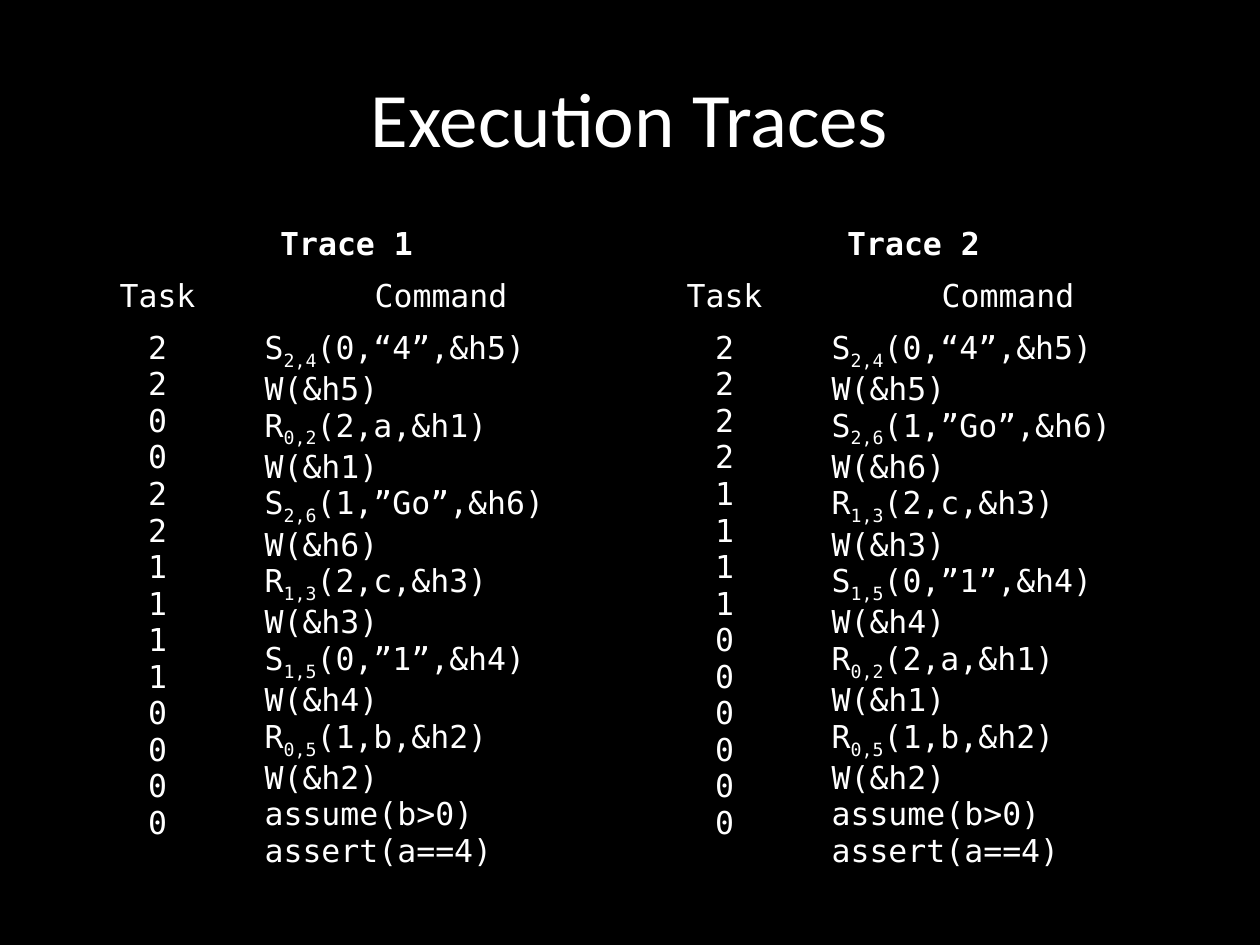
from pptx import Presentation
from pptx.dml.color import RGBColor
from pptx.enum.text import MSO_ANCHOR, PP_ALIGN
from pptx.oxml.ns import qn
from pptx.util import Inches, Pt

COLORS = {"background": "000000", "text": "FFFFFF"}
NO_GRID_STYLE = "{2D5ABB26-0587-4C30-8999-92F81FD0307C}"

# Each step: (task, letter, subscript, rest of the command)
SEND_4 = [(2, "S", "2,4", "(0,“4”,&h5)"), (2, "W(&h5)", "", "")]
SEND_GO = [(2, "S", "2,6", "(1,”Go”,&h6)"), (2, "W(&h6)", "", "")]
SEND_1 = [(1, "S", "1,5", "(0,”1”,&h4)"), (1, "W(&h4)", "", "")]
RECEIVE_A = [(0, "R", "0,2", "(2,a,&h1)"), (0, "W(&h1)", "", "")]
RECEIVE_B = [(0, "R", "0,5", "(1,b,&h2)"), (0, "W(&h2)", "", "")]
RECEIVE_C = [(1, "R", "1,3", "(2,c,&h3)"), (1, "W(&h3)", "", "")]
CHECKS = [(0, "assume(b>0)", "", ""), (0, "assert(a==4)", "", "")]
TRACES = [
    SEND_4 + RECEIVE_A + SEND_GO + RECEIVE_C + SEND_1 + RECEIVE_B + CHECKS,
    SEND_4 + SEND_GO + RECEIVE_C + SEND_1 + RECEIVE_A + RECEIVE_B + CHECKS,
]


def style(paragraph, font_name, size, alignment, bold=False):
    paragraph.alignment = alignment
    font = paragraph.font
    font.name, font.size, font.bold = font_name, Pt(size), bold
    font.color.rgb = RGBColor.from_string(COLORS["text"])


def write_cell(cell, lines, alignment=PP_ALIGN.CENTER, bold=False):
    """Write one paragraph per line; a line is (text, subscript, text)."""
    frame = cell.text_frame
    for index, line in enumerate(lines):
        paragraph = frame.add_paragraph() if index else frame.paragraphs[0]
        style(paragraph, "DejaVu Sans Mono", 18, alignment, bold)
        for position, text in enumerate(line):
            if text:
                run = paragraph.add_run()
                run.text = text
                if position == 1:
                    run.font._element.set("baseline", "-25000")


presentation = Presentation()
presentation.slide_width = Inches(10)
presentation.slide_height = Inches(7.5)
slide = presentation.slides.add_slide(presentation.slide_layouts[6])
slide.background.fill.solid()
slide.background.fill.fore_color.rgb = RGBColor.from_string(COLORS["background"])

# Title
title = slide.shapes.add_textbox(Inches(0.5), Inches(0.3), Inches(9), Inches(1.25))
title.text_frame.word_wrap = True
title.text_frame.vertical_anchor = MSO_ANCHOR.MIDDLE
title.text_frame.text = "Execution Traces"
style(title.text_frame.paragraphs[0], "Calibri", 44, PP_ALIGN.CENTER)

# Table without grid or banding
table = slide.shapes.add_table(
    3, 4, Inches(0.5), Inches(1.75), Inches(9), Inches(5.11)
).table
table.first_row = table.horz_banding = False
table._tbl.tblPr.find(qn("a:tableStyleId")).text = NO_GRID_STYLE
for column, width in zip(table.columns, [1.5, 3] * 2):
    column.width = Inches(width)
for row, height in zip(table.rows, [0.41, 0.41, 4.29]):
    row.height = Inches(height)
for cell in table.iter_cells():
    cell.fill.solid()
    cell.fill.fore_color.rgb = RGBColor.from_string(COLORS["background"])

# One pair of columns per trace
for number, steps in enumerate(TRACES):
    task, command = 2 * number, 2 * number + 1
    table.cell(0, task).merge(table.cell(0, command))
    write_cell(table.cell(0, task), [[f"Trace {number + 1}"]], bold=True)
    write_cell(table.cell(1, task), [["Task"]])
    write_cell(table.cell(1, command), [["Command"]])
    write_cell(table.cell(2, task), [[str(step[0])] for step in steps])
    write_cell(table.cell(2, command), [step[1:] for step in steps], PP_ALIGN.LEFT)

presentation.save("out.pptx")
